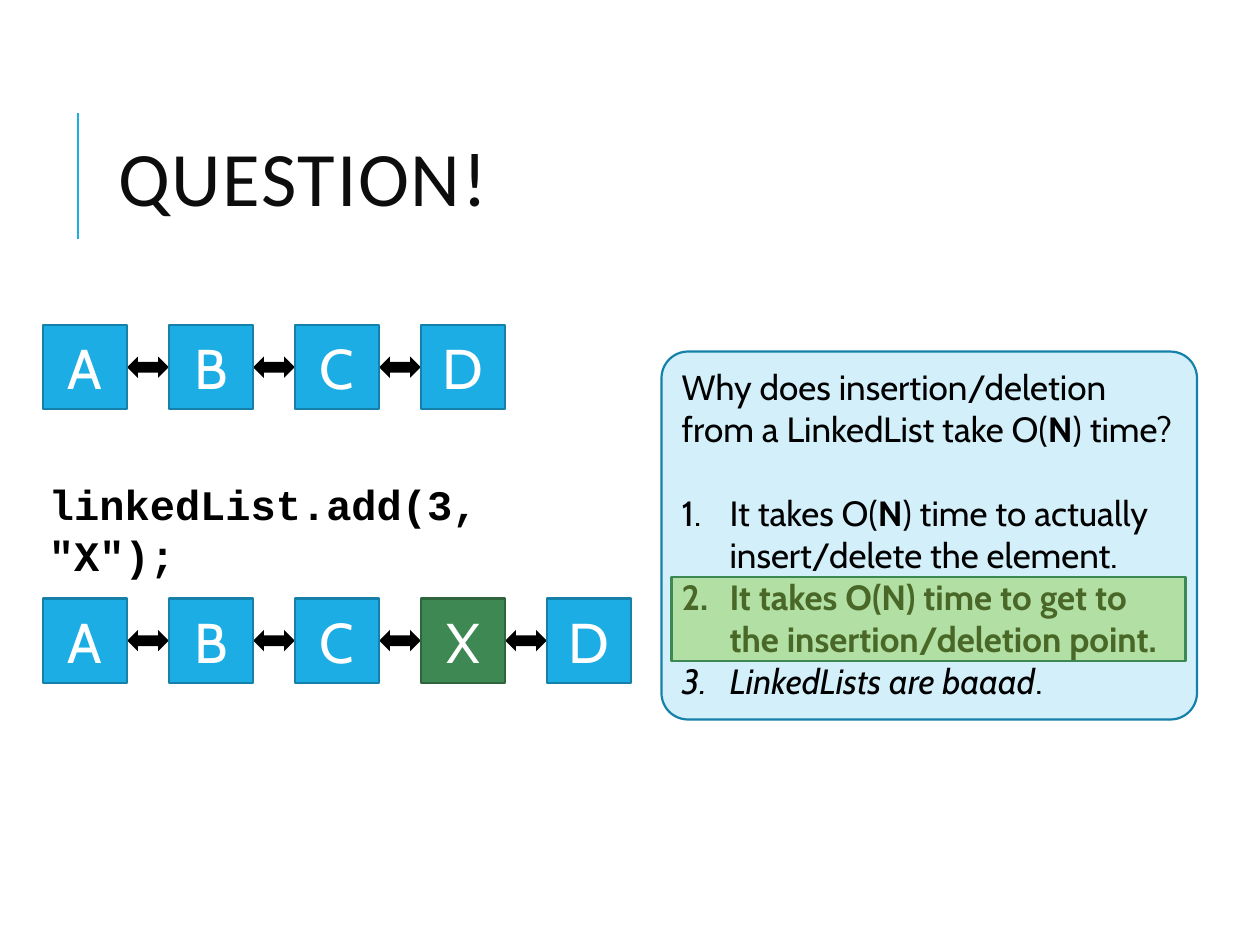
from lxml import etree
from pptx import Presentation
from pptx.dml.color import RGBColor
from pptx.enum.shapes import MSO_CONNECTOR, MSO_SHAPE
from pptx.enum.text import MSO_ANCHOR, PP_ALIGN
from pptx.oxml.ns import qn
from pptx.util import Inches, Pt

RECT = MSO_SHAPE.RECTANGLE
ROUNDED = MSO_SHAPE.ROUNDED_RECTANGLE
ARROW = MSO_SHAPE.LEFT_RIGHT_ARROW
STRAIGHT = MSO_CONNECTOR.STRAIGHT
MIDDLE, TOP = MSO_ANCHOR.MIDDLE, MSO_ANCHOR.TOP
LEFT, CENTER = PP_ALIGN.LEFT, PP_ALIGN.CENTER

BLUE, BLUE_EDGE = "1CADE4", "1580A9"
GREEN, GREEN_EDGE = "3E8853", "2E653D"

TITLE = "QUESTION!"
CODE = 'linkedList.add(3, "X");'
LISTS = [(2.58, "ABCD"), (4.75, "ABCXD")]
NEW_NODE = "X"
NODE_LEFT, NODE_SIZE, NODE_STEP = 0.34, 0.67, 1.0
ARROW_W, ARROW_H = 0.33, 0.17

QUESTION = [("Why does insertion/deletion from a LinkedList take O(", ""),
            ("N", "b"), (") time?", "")]
ANSWERS = [
    [("It takes O(", ""), ("N", "b"),
     (") time to actually insert/delete the element.", "")],
    [("It takes O(N) time to get to the insertion/deletion point.", "b")],
    [("LinkedLists are baaad", "i"), (".", "")],
]


def rgb(color):
    return RGBColor.from_string(color)


def add_run(p, text, size, font, color, style=""):
    r = p.add_run()
    r.text = text
    r.font.size = Pt(size)
    r.font.name = font
    r.font.color.rgb = rgb(color)
    r.font.bold = "b" in style
    r.font.italic = "i" in style
    return r


def add_box(s, kind, x, y, w, h, fill, edge=None):
    sp = s.shapes.add_shape(kind, Inches(x), Inches(y), Inches(w), Inches(h))
    sp.shadow.inherit = False
    sp.fill.solid()
    sp.fill.fore_color.rgb = rgb(fill)
    if edge:
        sp.line.color.rgb = rgb(edge)
        sp.line.width = Pt(1.25)
    else:
        sp.line.fill.background()
    return sp


def add_text(s, x, y, w, h, anchor):
    tf = s.shapes.add_textbox(Inches(x), Inches(y), Inches(w), Inches(h)).text_frame
    tf.word_wrap = True
    tf.vertical_anchor = anchor
    return tf.paragraphs[0]


def add_title(s):
    rule = s.shapes.add_connector(STRAIGHT, Inches(0.62), Inches(1.9), Inches(0.62), Inches(0.9))
    rule.line.color.rgb = rgb(BLUE)
    rule.line.width = Pt(1.5)
    etree.SubElement(rule._element.spPr, qn("a:effectLst"))
    p = add_text(s, 0.84, 0.64, 7.97, 1.64, MIDDLE)
    p.line_spacing = 0.8
    r = add_run(p, TITLE, 44, "Calibri", "0D0D0D")
    r._r.get_or_add_rPr().set("spc", "100")


def add_question(s):
    sp = add_box(s, ROUNDED, 5.25, 2.79, 4.25, 2.92, "D2EFFA", BLUE_EDGE)
    sp.adjustments[0] = 0.072
    tf = sp.text_frame
    tf.word_wrap = True
    tf.vertical_anchor = TOP
    for i, runs in enumerate([QUESTION] + ANSWERS):
        p = tf.paragraphs[0] if i == 0 else tf.add_paragraph()
        p.alignment = LEFT
        if i > 0:
            pPr = p._p.get_or_add_pPr()
            pPr.set("marL", str(Inches(0.38)))
            pPr.set("indent", str(-Inches(0.38)))
            etree.SubElement(pPr, qn("a:buFont"), typeface="+mj-lt")
            etree.SubElement(pPr, qn("a:buAutoNum"), type="arabicPeriod")
        if i == 1:
            p.space_before = Pt(24)
        for text, style in runs:
            add_run(p, text, 20, "Cabin", "000000", style)

    mark = add_box(s, RECT, 5.33, 4.58, 4.08, 0.67, "92D050", GREEN)
    color = mark._element.spPr.find(qn("a:solidFill"))[0]
    etree.SubElement(color, qn("a:alpha"), val="50000")


def add_linked_list(s, y, names):
    for i, name in enumerate(names):
        x = NODE_LEFT + i * NODE_STEP
        if i < len(names) - 1:
            add_box(s, ARROW, x + NODE_SIZE, y + (NODE_SIZE - ARROW_H) / 2,
                    ARROW_W, ARROW_H, "000000")
        fill, edge = (GREEN, GREEN_EDGE) if name == NEW_NODE else (BLUE, BLUE_EDGE)
        tf = add_box(s, RECT, x, y, NODE_SIZE, NODE_SIZE, fill, edge).text_frame
        tf.vertical_anchor = MIDDLE
        p = tf.paragraphs[0]
        p.alignment = CENTER
        add_run(p, name, 32, "Cabin", "FFFFFF")


def main():
    prs = Presentation()
    prs.slide_width, prs.slide_height = Inches(10), Inches(7.5)
    s = prs.slides.add_slide(prs.slide_layouts[6])
    add_title(s)
    add_question(s)
    p = add_text(s, 0.29, 3.75, 4.48, 0.5, TOP)
    add_run(p, CODE, 24, "Courier New", "000000", "b")
    for y, names in LISTS:
        add_linked_list(s, y, names)
    prs.save("out.pptx")


if __name__ == "__main__":
    main()
